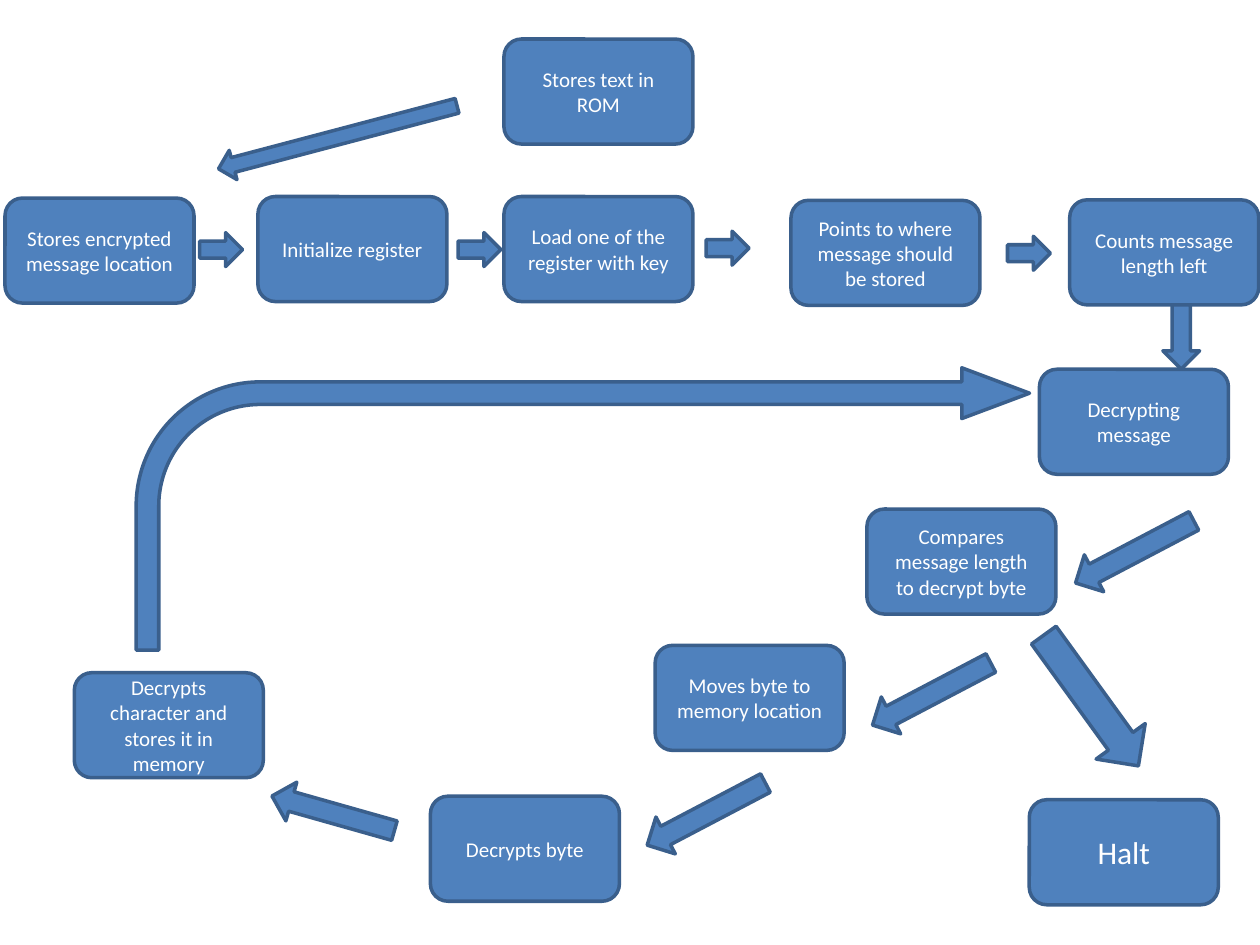
from dataclasses import dataclass

from pptx import Presentation
from pptx.dml.color import RGBColor
from pptx.enum import shapes, text
from pptx.util import Pt

KIND = shapes.MSO_SHAPE


@dataclass
class Theme:
    """Colours, font and sizes of the flowchart."""
    fill: str = "4F81BD"
    line: str = "3A5F8C"
    ink: str = "FFFFFF"
    font: str = "Calibri"
    body: float = 12
    large: float = 18
    line_width: float = 2
    box: tuple = (108, 60)


class Flowchart:
    """Draws flowchart elements on one slide; lengths are in points."""

    def __init__(self, slide, theme):
        """Keep the slide and its style."""
        self.s, self.theme = slide, theme

    def shape(self, kind, left, top, width, height):
        """Add a preset shape in the common fill and outline."""
        sp = self.s.shapes.add_shape(kind, Pt(left), Pt(top), Pt(width), Pt(height))
        sp.shadow.inherit = False
        sp.fill.solid()
        sp.fill.fore_color.rgb = RGBColor.from_string(self.theme.fill)
        sp.line.color.rgb = RGBColor.from_string(self.theme.line)
        sp.line.width = Pt(self.theme.line_width)
        return sp

    def step(self, label, left, top, size=None):
        """Add a rounded box with a centred label."""
        sp = self.shape(KIND.ROUNDED_RECTANGLE, left, top, *self.theme.box)
        tf = sp.text_frame
        tf.word_wrap = True
        tf.vertical_anchor = text.MSO_ANCHOR.MIDDLE
        p = tf.paragraphs[0]
        p.alignment = text.PP_ALIGN.CENTER
        r = p.add_run()
        r.text = label
        r.font.name = self.theme.font
        r.font.size = Pt(size or self.theme.body)
        r.font.color.rgb = RGBColor.from_string(self.theme.ink)

    def arrow(self, x, y, width, length, angle=0):
        """Add a block arrow around a centre, turned clockwise from down."""
        sp = self.shape(KIND.DOWN_ARROW, x - width / 2, y - length / 2, width, length)
        sp.rotation = angle

    def bent_arrow(self, left, top, width, height, adjustments):
        """Add the arrow that loops back."""
        sp = self.shape(KIND.BENT_ARROW, left, top, width, height)
        for i, value in enumerate(adjustments):
            sp.adjustments[i] = value


STEPS = [
    ("Stores text in ROM", 288, 22.3),
    ("Stores encrypted message location", 2.9, 113.2),
    ("Initialize register", 147.4, 112.3),
    ("Load one of the register with key", 288, 112.3),
    ("Points to where message should be stored", 452, 114.5),
    ("Counts message length left", 611.3, 114.2),
    ("Decrypting message", 594, 211),
    ("Compares message length to decrypt byte", 495.4, 290.9),
    ("Moves byte to memory location", 374.4, 368.8),
    ("Decrypts character and stores it in memory", 42.5, 384.4),
    ("Decrypts byte", 246, 455),
]
RIGHT_ARROWS = [(126.4, 142.6), (274, 142.6), (415.8, 141.8), (588, 144.7)]
LOOP_ARROWS = [(648.4, 315.4), (532.4, 396.6), (403.6, 465.2)]


def main():
    """Build and save the flowchart."""
    prs = Presentation()
    prs.slide_width, prs.slide_height = Pt(720), Pt(540)
    theme = Theme()
    chart = Flowchart(prs.slides.add_slide(prs.slide_layouts[6]), theme)

    for label, left, top in STEPS:
        chart.step(label, left, top)
    chart.step("Halt", 588.2, 457, theme.large)

    chart.arrow(193, 78.5, 17.3, 141, 75.2)
    chart.arrow(675, 192.6, 21, 36.7)
    chart.arrow(190.4, 464.8, 23, 72.7, 105.8)
    for x, y in RIGHT_ARROWS:
        chart.arrow(x, y, 19.4, 24.5, 270)
    chart.arrow(623.5, 400.3, 34.6, 92.2, 324.1)
    for x, y in LOOP_ARROWS:
        chart.arrow(x, y, 23.8, 76.3, 62.3)
    chart.bent_arrow(77.8, 210.2, 510.5, 161.3, (0.08, 0.09, 0.24, 0.44))

    prs.save("out.pptx")


main()
